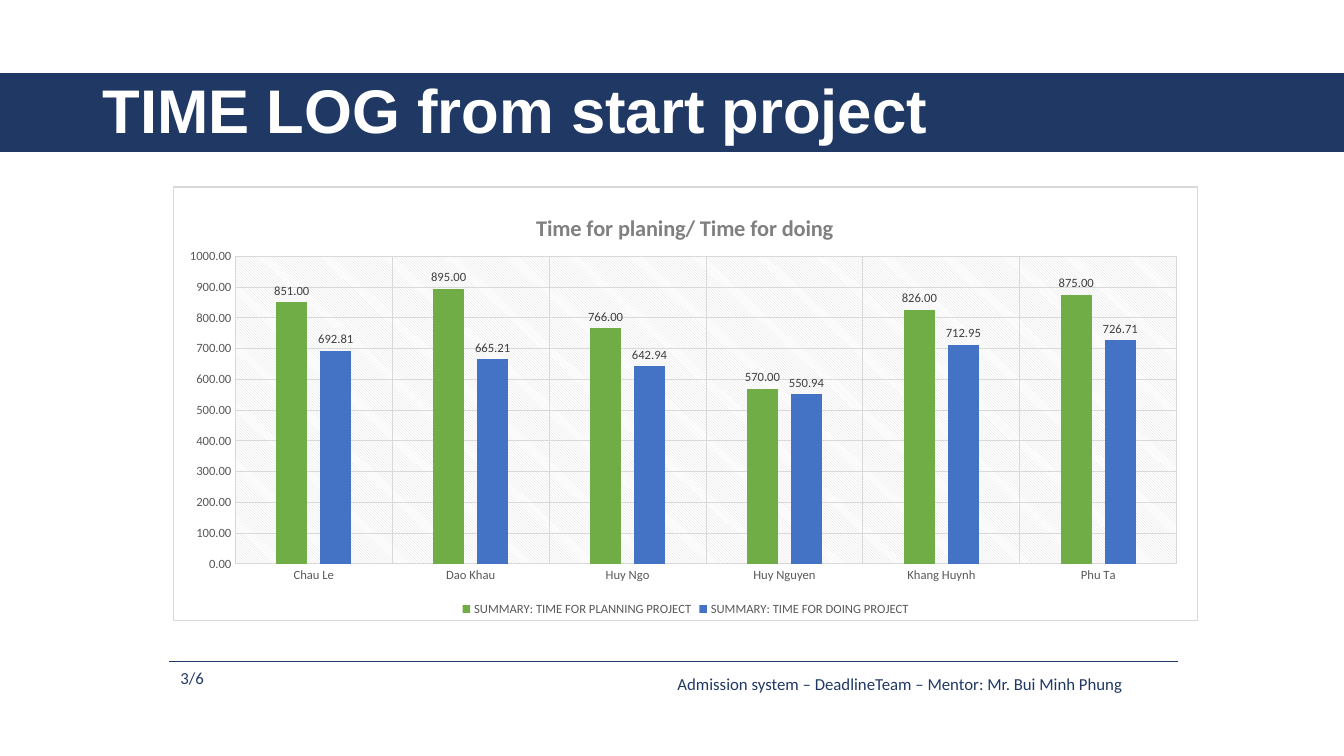
"""Build the time log slide with its planning and doing column chart."""
from lxml import etree
from pptx import Presentation
from pptx.chart.data import CategoryChartData
from pptx.dml.color import RGBColor
from pptx.enum.chart import XL_CHART_TYPE, XL_LABEL_POSITION, XL_LEGEND_POSITION, XL_TICK_MARK
from pptx.enum.shapes import MSO_CONNECTOR, MSO_SHAPE
from pptx.enum.text import MSO_ANCHOR
from pptx.oxml import parse_xml
from pptx.oxml.ns import nsdecls, qn
from pptx.util import Inches, Pt

COLUMNS = XL_CHART_TYPE.COLUMN_CLUSTERED
OUTSIDE_END = XL_LABEL_POSITION.OUTSIDE_END
BOTTOM = XL_LEGEND_POSITION.BOTTOM
NO_TICK = XL_TICK_MARK.NONE
STRAIGHT = MSO_CONNECTOR.STRAIGHT
RECTANGLE = MSO_SHAPE.RECTANGLE
TOP, MIDDLE = MSO_ANCHOR.TOP, MSO_ANCHOR.MIDDLE

COLORS = {
    "navy": "203864", "white": "FFFFFF", "grid": "D9D9D9", "axis": "595959",
    "label": "404040", "heading": "808080", "planning": "70AD47", "doing": "4472C4",
}


def style_font(font, color, **formats):
    for attribute, value in formats.items():
        setattr(font, attribute, value)
    font.color.rgb = RGBColor.from_string(COLORS[color])


def place(element, index, **fractions):
    for layout in element.findall(qn("c:layout")):
        element.remove(layout)
    target = '<c:layoutTarget val="inner"/>' if "w" in fractions else ""
    modes = '<c:xMode val="edge"/><c:yMode val="edge"/>'
    values = "".join(f'<c:{key} val="{value}"/>' for key, value in fractions.items())
    element.insert(index, parse_xml(
        f'<c:layout {nsdecls("c")}><c:manualLayout>{target}{modes}{values}</c:manualLayout></c:layout>'))


prs = Presentation()
prs.slide_width, prs.slide_height = Inches(13.33), Inches(7.5)
slide = prs.slides.add_slide(prs.slide_layouts[6])
navy = RGBColor.from_string(COLORS["navy"])

band = slide.shapes.add_shape(RECTANGLE, 0, Inches(0.73), Inches(13.33), Inches(0.77))
band.shadow.inherit = False
band.fill.solid()
band.fill.fore_color.rgb = navy
band.line.color.rgb = navy
band.line.width = Pt(1)

footer_rule = slide.shapes.add_connector(STRAIGHT, Inches(1.68), Inches(6.56), Inches(11.68), Inches(6.56))
footer_rule.line.color.rgb = navy
footer_rule.line.width = Pt(0.5)
etree.SubElement(footer_rule._element.spPr, qn("a:effectLst"))

heading_format = {"name": "Arial", "size": Pt(44), "bold": True}
footer_format = {"name": "Calibri", "size": Pt(12)}
texts = [
    ("TIME LOG from start project", (0.92, 0.4, 11.5, 1.45), MIDDLE, 0.9, "white", heading_format),
    ("Admission system – DeadlineTeam – Mentor: Mr. Bui Minh Phung",
     (6.62, 6.63, 5.08, 0.3), TOP, 1.0, "navy", footer_format),
    ("3/6", (1.69, 6.58, 0.51, 0.3), TOP, 1.0, "navy", footer_format),
]
for wording, box, anchor, spacing, color, formats in texts:
    frame = slide.shapes.add_textbox(*map(Inches, box)).text_frame
    frame.word_wrap = True
    frame.vertical_anchor = anchor
    paragraph = frame.paragraphs[0]
    paragraph.line_spacing = spacing
    run = paragraph.add_run()
    run.text = wording
    style_font(run.font, color, **formats)

time_log = CategoryChartData(number_format="0.00")
time_log.categories = ["Chau Le", "Dao Khau", "Huy Ngo", "Huy Nguyen", "Khang Huynh", "Phu Ta"]
time_log.add_series("SUMMARY: TIME FOR PLANNING PROJECT", [851, 895, 766, 570, 826, 875])
time_log.add_series("SUMMARY: TIME FOR DOING PROJECT", [692.81, 665.21, 642.94, 550.94, 712.95, 726.71])
chart = slide.shapes.add_chart(
    COLUMNS, Inches(1.72), Inches(1.85), Inches(10.16), Inches(4.31), time_log).chart
chart.font.name, chart.font.size = "Calibri", Pt(10)

chart.has_title = True
chart.chart_title.text_frame.text = "Time for planing/ Time for doing"
title_run = chart.chart_title.text_frame.paragraphs[0].runs[0]
style_font(title_run.font, "heading", name="Calibri", size=Pt(16), bold=True)
chart.chart_title.include_in_layout = False

small = {"name": "Calibri", "size": Pt(9)}
chart.has_legend = True
chart.legend.position = BOTTOM
chart.legend.include_in_layout = False
style_font(chart.legend.font, "axis", **small)

grid_color = RGBColor.from_string(COLORS["grid"])
for axis in (chart.category_axis, chart.value_axis):
    axis.major_tick_mark = axis.minor_tick_mark = NO_TICK
    axis.has_major_gridlines = True
    style_font(axis.tick_labels.font, "axis", **small)
    for line in (axis.format.line, axis.major_gridlines.format.line):
        line.color.rgb = grid_color
        line.width = Pt(0.75)
value_axis = chart.value_axis
value_axis.format.line.fill.background()
value_axis.minimum_scale, value_axis.maximum_scale, value_axis.major_unit = 0, 1000, 100
value_axis.tick_labels.number_format = "0.00"
value_axis.tick_labels.number_format_is_linked = False

plot = chart.plots[0]
plot.gap_width, plot.overlap, plot.vary_by_categories = 267, -43, False
for series, color in zip(plot.series, ("planning", "doing")):
    series.format.fill.solid()
    series.format.fill.fore_color.rgb = RGBColor.from_string(COLORS[color])
    labels = series.data_labels
    labels.show_value = True
    labels.position = OUTSIDE_END
    labels.number_format = "0.00"
    labels.number_format_is_linked = False
    style_font(labels.font, "label", **small)

chart_area = chart._chartSpace.find(qn("c:chart"))
plot_area = chart_area.find(qn("c:plotArea"))
place(chart_area.find(qn("c:title")), 1, x=0.35, y=0.05)
place(plot_area, 0, x=0.06, y=0.16, w=0.92, h=0.71)

white, grid = (f'<a:srgbClr val="{COLORS[key]}"/>' for key in ("white", "grid"))
plot_area.append(parse_xml(
    f'<c:spPr {nsdecls("c", "a")}><a:pattFill prst="ltDnDiag"><a:fgClr>{grid}</a:fgClr>'
    f'<a:bgClr>{white}</a:bgClr></a:pattFill><a:ln><a:noFill/></a:ln></c:spPr>'))
chart_area.addnext(parse_xml(
    f'<c:spPr {nsdecls("c", "a")}><a:solidFill>{white}</a:solidFill>'
    f'<a:ln w="{Pt(0.75)}"><a:solidFill>{grid}</a:solidFill></a:ln></c:spPr>'))

prs.save("out.pptx")
